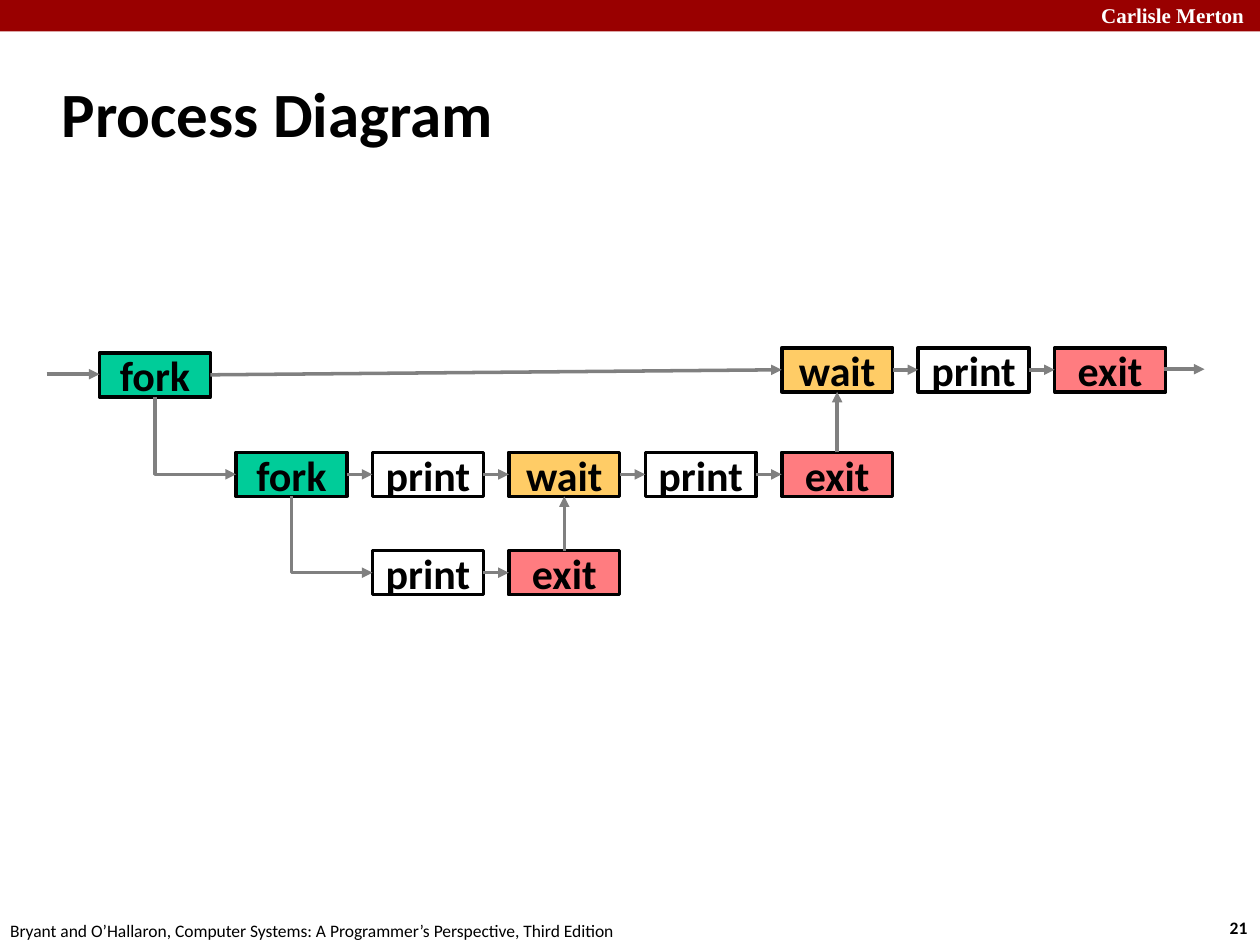
from dataclasses import dataclass

from lxml.etree import SubElement
from pptx import Presentation
from pptx.dml.color import RGBColor
from pptx.enum.shapes import MSO_CONNECTOR, MSO_SHAPE
from pptx.enum.text import MSO_ANCHOR, PP_ALIGN
from pptx.oxml.ns import qn
from pptx.shapes.autoshape import Shape
from pptx.shapes.connector import Connector
from pptx.slide import Slide
from pptx.text.text import TextFrame
from pptx.util import Inches, Pt

BLACK = RGBColor(0x00, 0x00, 0x00)
WHITE = RGBColor(0xFF, 0xFF, 0xFF)
BANNER_RED = RGBColor(0x99, 0x00, 0x00)
ARROW_GRAY = RGBColor(0x80, 0x80, 0x80)
CALL_COLORS = {
    "fork": RGBColor(0x00, 0xCC, 0x99),
    "print": WHITE,
    "wait": RGBColor(0xFF, 0xCC, 0x66),
    "exit": RGBColor(0xFF, 0x7C, 0x80),
}

FIRST_LEFT, LAST_LEFT, LAST_COLUMN = 0.79, 8.37, 7
COLUMN_PITCH = (LAST_LEFT - FIRST_LEFT) / LAST_COLUMN
BOX_WIDTH, BOX_HEIGHT = 0.88, 0.35
TOP, LEFT, BOTTOM, RIGHT = range(4)


@dataclass
class Call:
    key: str
    label: str
    column: int
    top: float


@dataclass
class Link:
    source: str
    source_side: int
    target: str
    target_side: int


@dataclass
class Caption:
    text: str
    left: float
    top: float
    width: float
    height: float
    size: int
    font: str = "Calibri"
    color: RGBColor = BLACK
    bold: bool = False


CALLS = [
    Call("parent fork", "fork", 0, 2.8),
    Call("parent wait", "wait", 5, 2.76),
    Call("parent print", "print", 6, 2.76),
    Call("parent exit", "exit", 7, 2.76),
    Call("child fork", "fork", 1, 3.59),
    Call("child print", "print", 2, 3.59),
    Call("child wait", "wait", 3, 3.59),
    Call("child last print", "print", 4, 3.59),
    Call("child exit", "exit", 5, 3.59),
    Call("grandchild print", "print", 2, 4.37),
    Call("grandchild exit", "exit", 3, 4.37),
]
SEQUENCES = [
    ["parent fork", "parent wait", "parent print", "parent exit"],
    ["child fork", "child print", "child wait", "child last print", "child exit"],
    ["grandchild print", "grandchild exit"],
]
LINKS = [
    Link(source, RIGHT, target, LEFT)
    for sequence in SEQUENCES
    for source, target in zip(sequence, sequence[1:])
] + [
    Link("child exit", TOP, "parent wait", BOTTOM),
    Link("grandchild exit", TOP, "child wait", BOTTOM),
]
SPAWNS = [
    Link("parent fork", BOTTOM, "child fork", LEFT),
    Link("child fork", BOTTOM, "grandchild print", LEFT),
]
CAPTIONS = [
    Caption("Carlisle Merton", 8.74, 0.02, 1.23, 0.2, 12, "Times New Roman", WHITE, True),
    Caption("21", 9.76, 7.28, 0.17, 0.17, 10, bold=True),
    Caption(
        "Bryant and O’Hallaron, Computer Systems: A Programmer’s Perspective, Third Edition",
        0.08, 7.3, 4.88, 0.17, 10,
    ),
]


def write(frame: TextFrame, text: str, size: int, font: str = "Calibri",
          color: RGBColor = BLACK, bold: bool = True,
          align: PP_ALIGN = PP_ALIGN.LEFT) -> None:
    frame.text = text
    para = frame.paragraphs[0]
    para.alignment = align
    span = para.runs[0]
    span.font.size = Pt(size)
    span.font.name = font
    span.font.color.rgb = color
    span.font.bold = bold


def add_banner(page: Slide) -> None:
    banner = page.shapes.add_shape(MSO_SHAPE.RECTANGLE, 0, 0, Inches(10), Inches(0.25))
    banner.shadow.inherit = False
    banner.fill.solid()
    banner.fill.fore_color.rgb = BANNER_RED
    banner.line.fill.background()


def add_caption(page: Slide, caption: Caption) -> None:
    box = page.shapes.add_textbox(Inches(caption.left), Inches(caption.top),
                                  Inches(caption.width), Inches(caption.height))
    frame = box.text_frame
    frame.word_wrap = False
    frame.margin_left = frame.margin_right = frame.margin_top = frame.margin_bottom = 0
    write(frame, caption.text, caption.size, caption.font, caption.color, caption.bold)


def add_title(page: Slide, text: str) -> None:
    title = page.shapes.title
    title.left, title.top = Inches(0.39), Inches(0.48)
    title.width, title.height = Inches(8.3), Inches(0.83)
    title.text_frame.vertical_anchor = MSO_ANCHOR.MIDDLE
    write(title.text_frame, text, 36)


def add_call(page: Slide, call: Call) -> Shape:
    left = FIRST_LEFT + call.column * COLUMN_PITCH
    box = page.shapes.add_shape(MSO_SHAPE.RECTANGLE, Inches(left), Inches(call.top),
                                Inches(BOX_WIDTH), Inches(BOX_HEIGHT))
    box.shadow.inherit = False
    box.fill.solid()
    box.fill.fore_color.rgb = CALL_COLORS[call.label]
    box.line.color.rgb = BLACK
    box.line.width = Pt(2)
    box.text_frame.word_wrap = False
    box.text_frame.vertical_anchor = MSO_ANCHOR.MIDDLE
    write(box.text_frame, call.label, 24, align=PP_ALIGN.CENTER)
    return box


def add_arrow(page: Slide, start: tuple[float, float] = (0, 0), end: tuple[float, float] = (0, 0),
              kind: MSO_CONNECTOR = MSO_CONNECTOR.STRAIGHT) -> Connector:
    arrow = page.shapes.add_connector(kind, *map(Inches, start + end))
    arrow.line.color.rgb = ARROW_GRAY
    arrow.line.width = Pt(2)
    SubElement(arrow.line._get_or_add_ln(), qn("a:tailEnd"), type="triangle")
    SubElement(arrow._element.spPr, qn("a:effectLst"))
    return arrow


def add_link(page: Slide, boxes: dict[str, Shape], link: Link,
             kind: MSO_CONNECTOR = MSO_CONNECTOR.STRAIGHT) -> Connector:
    arrow = add_arrow(page, kind=kind)
    arrow.begin_connect(boxes[link.source], link.source_side)
    arrow.end_connect(boxes[link.target], link.target_side)
    return arrow


def add_spawn(page: Slide, boxes: dict[str, Shape], link: Link) -> None:
    arrow = add_link(page, boxes, link, MSO_CONNECTOR.ELBOW)
    across, down = arrow.width, arrow.height
    arrow.left += (across - down) // 2
    arrow.top += (down - across) // 2
    arrow.width, arrow.height = down, across
    properties = arrow._element.spPr
    properties.find(qn("a:prstGeom")).set("prst", "bentConnector2")
    transform = properties.find(qn("a:xfrm"))
    transform.set("rot", "16200000")
    transform.set("flipH", "1")


deck = Presentation()
deck.slide_width, deck.slide_height = Inches(10), Inches(7.5)
page = deck.slides.add_slide(deck.slide_layouts[5])
add_banner(page)
for caption in CAPTIONS:
    add_caption(page, caption)
add_title(page, "Process Diagram")
boxes = {call.key: add_call(page, call) for call in CALLS}
for link in LINKS:
    add_link(page, boxes, link)
for spawn in SPAWNS:
    add_spawn(page, boxes, spawn)
add_arrow(page, (9.24, 2.93), (9.56, 2.93))
add_arrow(page, (0.37, 2.97), (0.79, 2.97))
deck.save("out.pptx")
